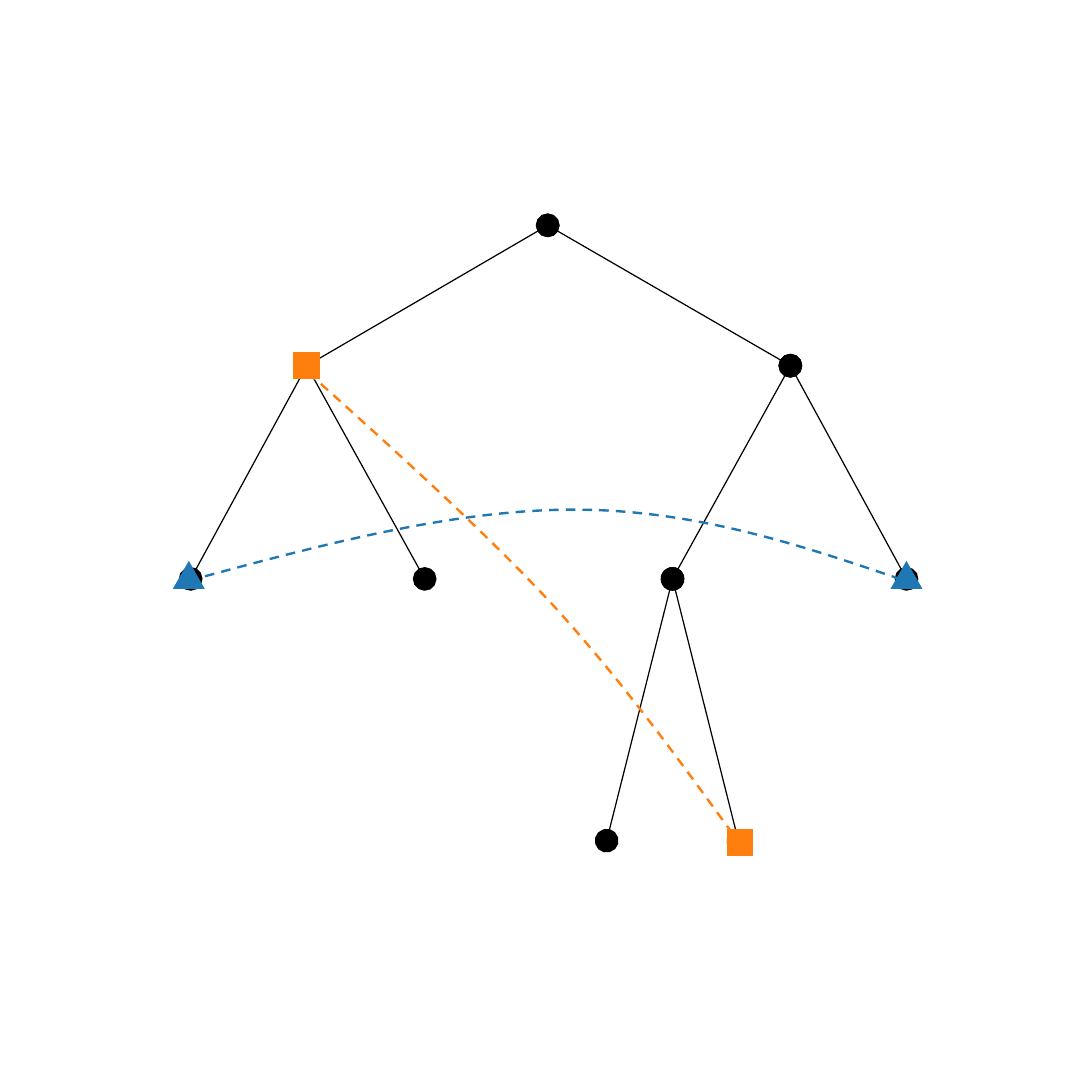
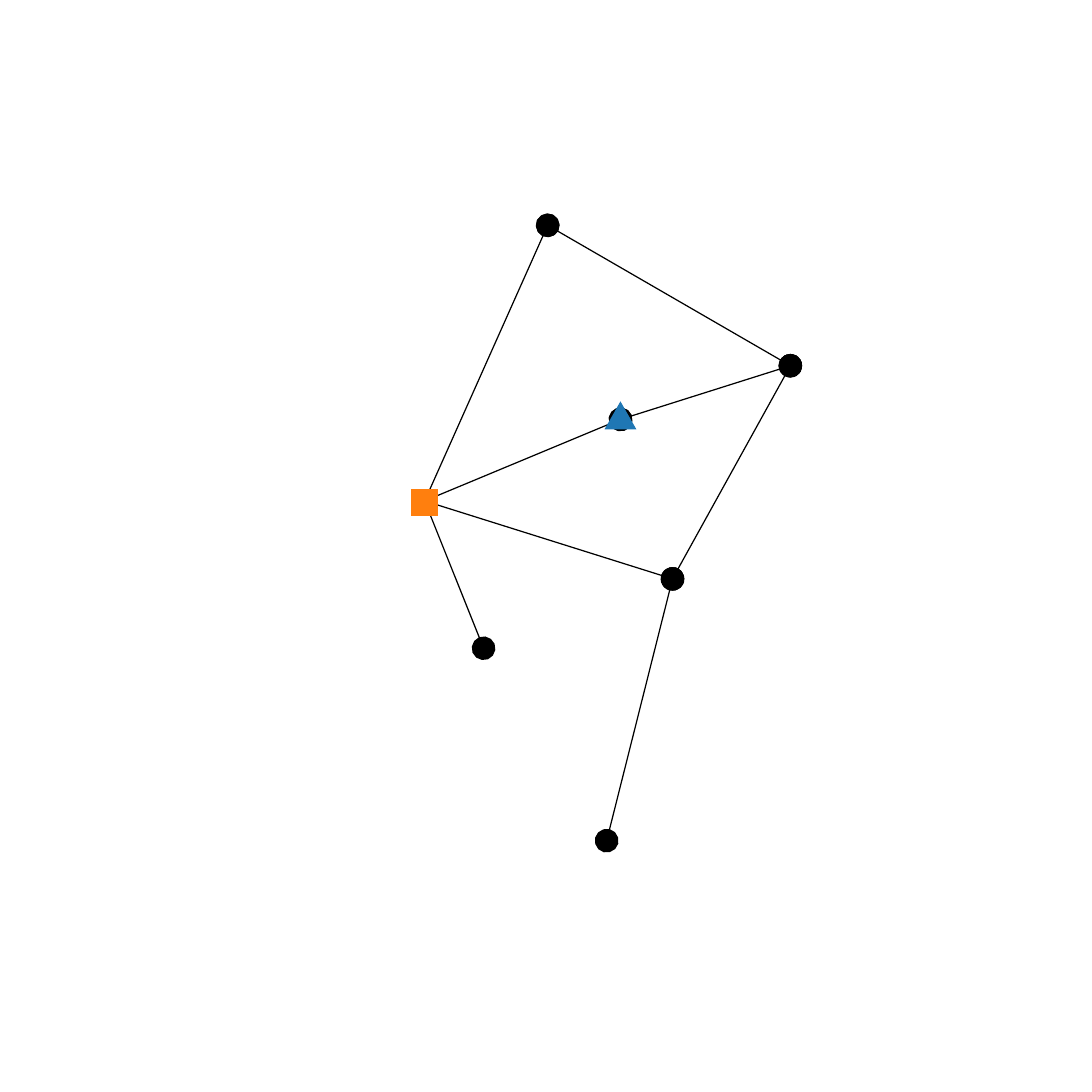
from dataclasses import dataclass

from pptx import Presentation
from pptx.dml import color
from pptx.enum import dml, shapes
from pptx.oxml import ns, xmlchemy
from pptx.util import Inches, Pt

# Shared look and grid: a square slide of 63 columns by 63 rows
GRID = 63
CELL = Inches(0.1)
BLACK, BLUE, ORANGE = "000000", "1F77B4", "FF7F0E"
Point = tuple[float, float]


@dataclass(frozen=True)
class MarkerStyle:
    outline: shapes.MSO_SHAPE
    paint: str
    columns: float
    rows: float


@dataclass(frozen=True)
class Marker:
    style: MarkerStyle
    center: Point


@dataclass(frozen=True)
class Curve:
    paint: str
    points: list[Point]  # start, then two controls and an end per segment


@dataclass(frozen=True)
class Graph:
    nodes: dict[str, Point]
    edges: list[tuple[str, str]]
    markers: list[Marker]
    curves: list[Curve]


TRIANGLE = MarkerStyle(shapes.MSO_SHAPE.ISOSCELES_TRIANGLE, BLUE, 1.6, 1.4)
SQUARE = MarkerStyle(shapes.MSO_SHAPE.RECTANGLE, ORANGE, 1.4, 1.4)


# Helpers
def grid(cells: float) -> int:
    return round(cells * CELL)


def rgb(paint: str) -> color.RGBColor:
    return color.RGBColor.from_string(paint)


def style_line(item, paint: str, width: float) -> None:
    item.line.color.rgb = rgb(paint)
    item.line.width = Pt(width)


def add_line_part(item, tag: str, **attributes: str) -> None:
    part = xmlchemy.OxmlElement(tag)
    for name, value in attributes.items():
        part.set(name, value)
    item._element.spPr.find(ns.qn("a:ln")).append(part)


# Drawing
def draw_edge(page, start: Point, end: Point) -> None:
    edge = page.shapes.add_connector(
        shapes.MSO_CONNECTOR.STRAIGHT, *map(grid, start + end))
    style_line(edge, BLACK, 0.5)
    for tag in ("a:headEnd", "a:tailEnd"):
        add_line_part(edge, tag, type="oval", w="lg", len="lg")
    edge._element.spPr.append(xmlchemy.OxmlElement("a:effectLst"))


def draw_marker(page, marker: Marker) -> None:
    style = marker.style
    column, row = marker.center
    shape = page.shapes.add_shape(
        style.outline,
        grid(column - style.columns / 2), grid(row - style.rows / 2),
        grid(style.columns), grid(style.rows))
    shape.shadow.inherit = False
    shape.fill.solid()
    shape.fill.fore_color.rgb = rgb(style.paint)
    style_line(shape, style.paint, 1)
    add_line_part(shape, "a:miter", lim="800000")


def draw_curve(page, curve: Curve) -> None:
    start, *rest = [(grid(column), grid(row)) for column, row in curve.points]
    builder = page.shapes.build_freeform(*start)
    builder.add_line_segments(rest, close=False)
    shape = builder.convert_to_shape()
    shape.shadow.inherit = False
    shape.fill.background()
    style_line(shape, curve.paint, 1)
    shape.line.dash_style = dml.MSO_LINE.DASH
    # Join every three straight steps into one Bezier segment
    outline = shape._element.find(".//" + ns.qn("a:path"))
    steps = outline.findall(ns.qn("a:lnTo"))
    for first in range(0, len(steps), 3):
        bezier = xmlchemy.OxmlElement("a:cubicBezTo")
        for step in steps[first:first + 3]:
            bezier.append(step[0])
            outline.remove(step)
        outline.append(bezier)


def draw_graph(deck, graph: Graph) -> None:
    page = deck.slides.add_slide(deck.slide_layouts[6])
    for start, end in graph.edges:
        draw_edge(page, graph.nodes[start], graph.nodes[end])
    for marker in graph.markers:
        draw_marker(page, marker)
    for curve in graph.curves:
        draw_curve(page, curve)


# Nodes and edges found on both slides
COMMON_NODES = {"root": (31.6, 13), "right": (45.6, 21.1),
                "inner": (38.8, 33.4), "leaf": (35, 48.5)}
COMMON_EDGES = [("right", "root"), ("inner", "right"), ("leaf", "inner")]

# Tree with two pairs of nodes to be merged
tree = Graph(
    nodes=COMMON_NODES | {
        "left": (17.7, 21.1), "left outer": (11, 33.4), "left inner": (24.5, 33.4),
        "right outer": (52.3, 33.4), "last": (42.6, 48.5)},
    edges=COMMON_EDGES + [
        ("left", "root"), ("right outer", "right"), ("last", "inner"),
        ("left outer", "left"), ("left inner", "left")],
    markers=[
        Marker(TRIANGLE, (10.9, 33.2)), Marker(SQUARE, (17.7, 21.1)),
        Marker(TRIANGLE, (52.3, 33.2)), Marker(SQUARE, (42.7, 48.6))],
    curves=[
        Curve(ORANGE, [(17.8, 21.5), (22.8, 26), (27.8, 30.5), (31.9, 34.9),
                       (35.9, 39.3), (39, 43.6), (42.2, 48)]),
        Curve(BLUE, [(10.9, 33.5), (18.6, 31.4), (26.2, 29.4), (33.1, 29.4),
                     (40, 29.4), (46.1, 31.4), (52.2, 33.5)])])

# Graph after merging the pairs
merged = Graph(
    nodes=COMMON_NODES | {
        "square": (24.5, 28.9), "triangle": (35.8, 24.2), "end": (27.9, 37.4)},
    edges=COMMON_EDGES + [
        ("square", "root"), ("triangle", "right"), ("square", "inner"),
        ("triangle", "square"), ("end", "square")],
    markers=[Marker(TRIANGLE, (35.8, 24)), Marker(SQUARE, (24.5, 29))],
    curves=[])

deck = Presentation()
deck.slide_width = deck.slide_height = grid(GRID)
for graph in (tree, merged):
    draw_graph(deck, graph)
deck.save("out.pptx")
